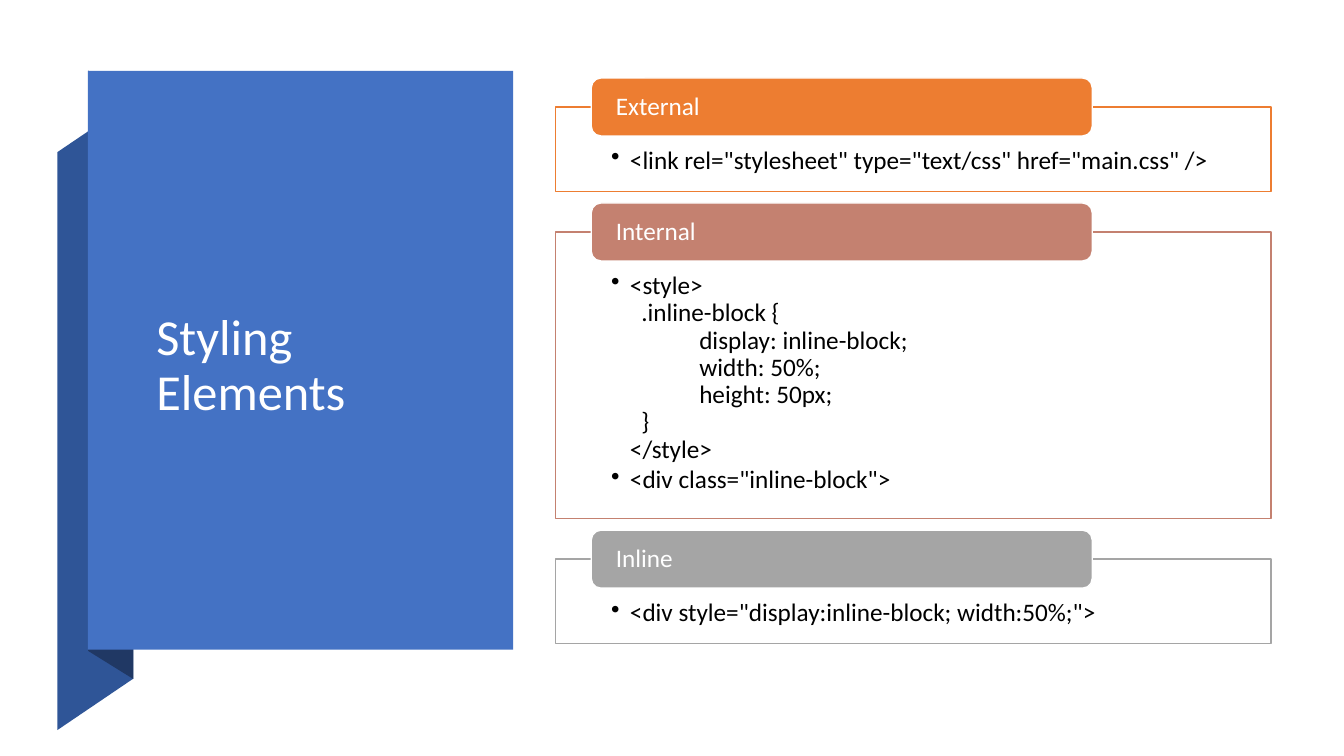
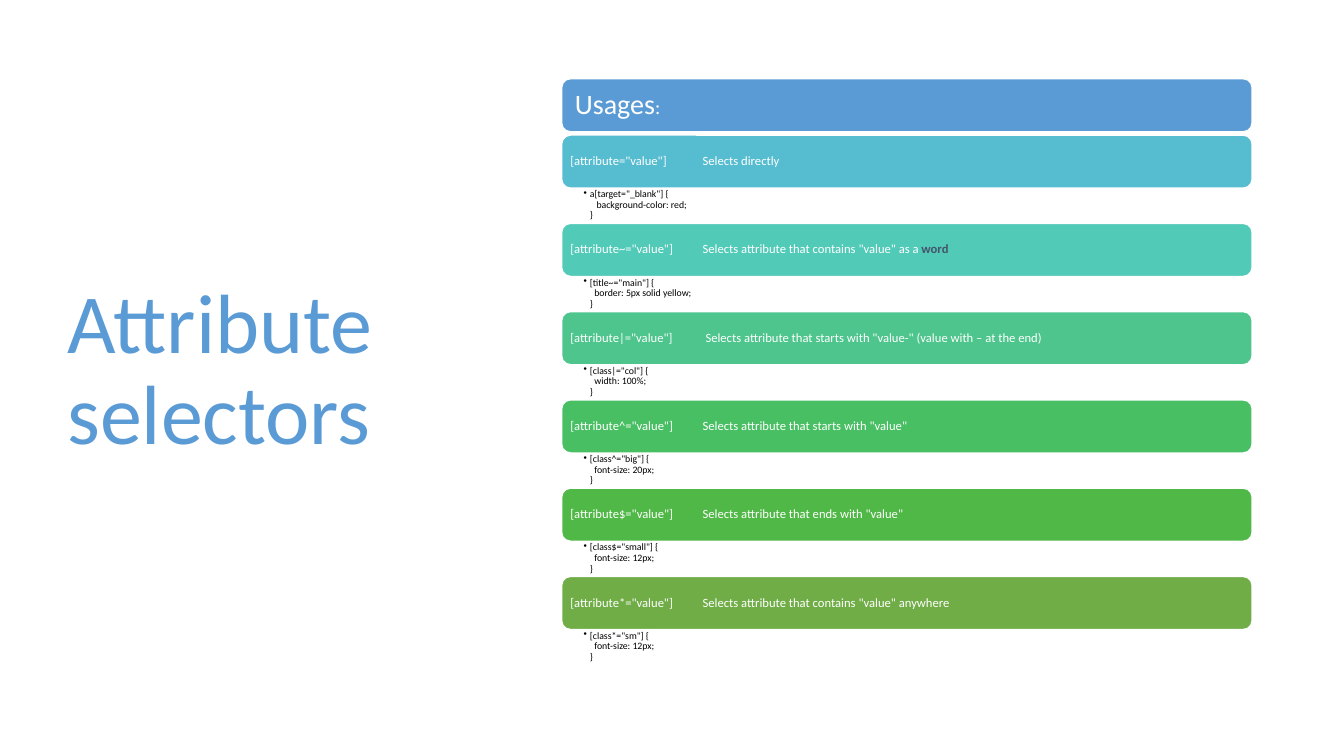
import lxml.etree
import pptx
import pptx.dml.color
import pptx.enum.shapes
import pptx.enum.text
import pptx.oxml.ns
import pptx.util

Pt = pptx.util.Pt
RGBColor = pptx.dml.color.RGBColor
SHAPE = pptx.enum.shapes.MSO_SHAPE
ANCHOR = pptx.enum.text.MSO_ANCHOR
qn = pptx.oxml.ns.qn

WHITE = RGBColor(0xFF, 0xFF, 0xFF)
BLACK = RGBColor(0x00, 0x00, 0x00)
BLUE = RGBColor(0x44, 0x72, 0xC4)
FOLD_BLUE = RGBColor(0x2F, 0x55, 0x97)
SHADE_BLUE = RGBColor(0x20, 0x38, 0x64)
SKY = RGBColor(0x5B, 0x9B, 0xD5)
SLATE = RGBColor(0x44, 0x54, 0x6A)
ORANGE = RGBColor(0xED, 0x7D, 0x31)
CLAY = RGBColor(0xC4, 0x81, 0x70)
GRAY = RGBColor(0xA5, 0xA5, 0xA5)
TEAL = RGBColor(0x56, 0xBC, 0xD0)
AQUA = RGBColor(0x52, 0xCA, 0xB8)
MINT = RGBColor(0x4D, 0xC5, 0x8D)
EMERALD = RGBColor(0x49, 0xBF, 0x64)
GREEN = RGBColor(0x50, 0xB8, 0x46)
OLIVE = RGBColor(0x70, 0xAD, 0x47)

STYLING_WAYS = [
    ("External", ORANGE, 60.4, ['<link rel="stylesheet" type="text/css" href="main.css" />']),
    ("Internal", CLAY, 204.8, [
        "<style>\n  .inline-block {\n\tdisplay: inline-block;\n\twidth: 50%;\n"
        "\theight: 50px;\n  }\n</style>",
        '<div class="inline-block">',
    ]),
    ("Inline", GRAY, 60.4, ['<div style="display:inline-block; width:50%;">']),
]

SELECTORS = [
    (TEAL, '[attribute="value"]\tSelects directly', "",
     'a[target="_blank"] {\n   background-color: red;\n}'),
    (AQUA, '[attribute~="value"]\tSelects attribute that contains "value" as a ', "word",
     '[title~="main"] {\n  border: 5px solid yellow;\n}'),
    (MINT, '[attribute|="value"]\t Selects attribute that starts with "value-" '
     "(value with – at the end)", "", '[class|="col"] {\n  width: 100%;\n}'),
    (EMERALD, '[attribute^="value"]\tSelects attribute that starts with "value"', "",
     '[class^="big"] {\n  font-size: 20px;\n}'),
    (GREEN, '[attribute$="value"]\tSelects attribute that ends with "value"', "",
     '[class$="small"] {\n  font-size: 12px;\n}'),
    (OLIVE, '[attribute*="value"]\tSelects attribute that contains "value" anywhere', "",
     '[class*="sm"] {\n  font-size: 12px;\n}'),
]


class Deck:
    """Hold the shared style and the slide being built."""

    font = "Calibri"
    line_spacing = 0.9

    def __init__(self):
        self.presentation = pptx.Presentation()
        self.presentation.slide_width = Pt(960)
        self.presentation.slide_height = Pt(540)
        self.slide = None

    def new_slide(self):
        self.slide = self.presentation.slides.add_slide(self.presentation.slide_layouts[6])

    def paint(self, shape, fill, line=None):
        shape.shadow.inherit = False
        shape.fill.solid()
        shape.fill.fore_color.rgb = fill
        if line is None:
            shape.line.fill.background()
        else:
            shape.line.color.rgb = line
            shape.line.width = Pt(1)
        return shape

    def block(self, box, fill, line=None, kind=SHAPE.RECTANGLE):
        return self.paint(self.slide.shapes.add_shape(kind, *map(Pt, box)), fill, line)

    def fold(self, points, fill):
        corners = [(Pt(x), Pt(y)) for x, y in points]
        outline = self.slide.shapes.build_freeform(*corners[0])
        outline.add_line_segments(corners[1:], close=True)
        self.paint(outline.convert_to_shape(), fill)

    def frame(self, shape, insets, anchor=ANCHOR.MIDDLE):
        frame = shape.text_frame
        frame.word_wrap = True
        frame.vertical_anchor = anchor
        (frame.margin_left, frame.margin_top,
         frame.margin_right, frame.margin_bottom) = map(Pt, insets)
        return frame

    def paragraph(self, paragraph, tab=72):
        paragraph.alignment = pptx.enum.text.PP_ALIGN.LEFT
        paragraph.line_spacing = self.line_spacing
        paragraph._p.get_or_add_pPr().set("defTabSz", str(Pt(tab)))
        return paragraph

    def run(self, paragraph, text, size, color, bold=False):
        for index, line in enumerate(text.split("\n")):
            if index:
                paragraph.add_line_break()
                lxml.etree.SubElement(paragraph._p[-1], qn("a:rPr"), sz=str(size * 100))
            run = paragraph.add_run()
            run.text = line
            run.font.name = self.font
            run.font.size = Pt(size)
            run.font.bold = bold
            run.font.color.rgb = color

    def title(self, box, text, size, color):
        holder = self.slide.shapes.add_textbox(*map(Pt, box))
        frame = self.frame(holder, (7.2, 3.6, 7.2, 3.6))
        self.run(self.paragraph(frame.paragraphs[0]), text, size, color)

    def banner(self, box, fill, runs, inset, tab=72):
        shape = self.block(box, fill, WHITE, SHAPE.ROUNDED_RECTANGLE)
        frame = self.frame(shape, (inset, 0, inset, 0))
        paragraph = self.paragraph(frame.paragraphs[0], tab)
        for run in runs:
            self.run(paragraph, *run)

    def code(self, shape, insets, snippets, size, indent, tab=72):
        frame = self.frame(shape, insets, ANCHOR.TOP)
        for index, snippet in enumerate(snippets):
            paragraph = frame.add_paragraph() if index else frame.paragraphs[0]
            self.paragraph(paragraph, tab)
            paragraph.level = 1
            paragraph.space_after = Pt(round(size * 0.15, 2))
            properties = paragraph._p.get_or_add_pPr()
            properties.set("marL", str(Pt(indent)))
            properties.set("indent", str(Pt(-indent)))
            lxml.etree.SubElement(properties, qn("a:buChar"), char="•")
            self.run(paragraph, snippet, size, BLACK)


def styling_elements(deck):
    deck.new_slide()
    deck.fold([(41, 521.5), (95.2, 484.8), (95.2, 72), (41, 108.7)], FOLD_BLUE)
    deck.fold([(63, 465), (95.2, 485), (95.2, 71), (63, 50.5)], SHADE_BLUE)
    deck.block((62.8, 50.6, 303.8, 413.4), BLUE)
    deck.title((104.6, 120.2, 216.6, 283.8), "Styling Elements", 36, WHITE)
    left, top, width, gap, label_height = 396.8, 76.4, 511.2, 28.9, 41.4
    for label, color, height, snippets in STYLING_WAYS:
        panel = deck.block((left, top, width, height), WHITE, color)
        deck.code(panel, (39.7, 29.2, 39.7, 10), snippets, 18, 13.5, tab=63)
        deck.banner((left + width * 0.05, top - label_height / 2, width * 0.7, label_height),
                    color, [(label, 18, WHITE)], 15.6)
        top += height + gap


def attribute_selectors(deck):
    deck.new_slide()
    deck.title((41, 49, 299.5, 433.4), "Attribute selectors", 60, SKY)
    left, width, bar_height, code_height = 401.2, 493.2, 37.9, 25.15
    deck.banner((left, 56.2, width, bar_height), SKY,
                [("Usages", 20, WHITE), (":", 14, WHITE)], 7.6)
    top = 96.5
    for color, usage, emphasis, snippet in SELECTORS:
        runs = [(usage, 9, WHITE)]
        if emphasis:
            runs.append((emphasis, 9, SLATE, True))
        deck.banner((left, top, width, bar_height), color, runs, 4.4, tab=94.5)
        example = deck.slide.shapes.add_textbox(
            Pt(left), Pt(top + bar_height), Pt(width), Pt(code_height))
        deck.code(example, (15.7, 0.9, 5, 0.9), [snippet], 7, 4.5)
        top += bar_height + code_height


def main():
    deck = Deck()
    styling_elements(deck)
    attribute_selectors(deck)
    deck.presentation.save("out.pptx")


if __name__ == "__main__":
    main()
